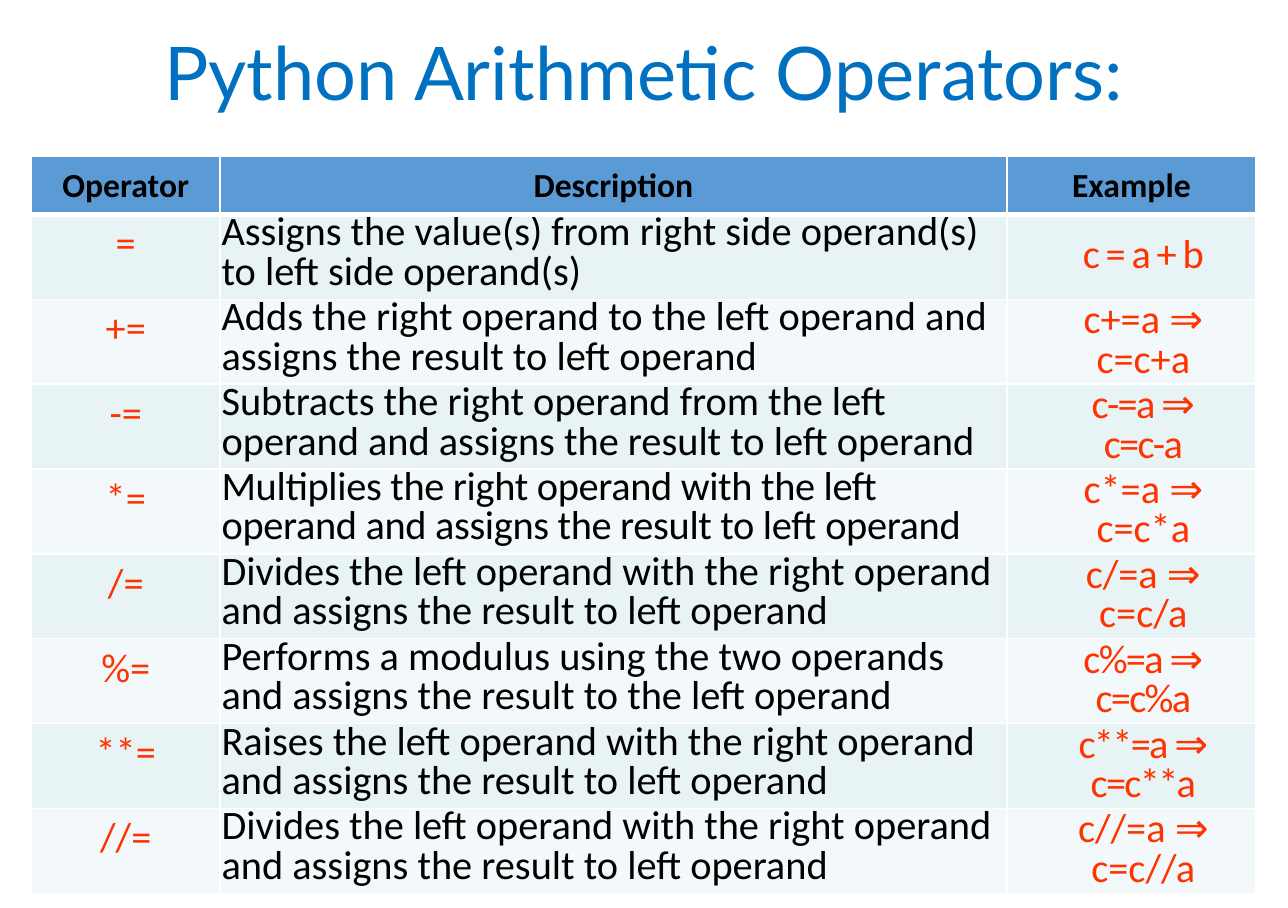
import dataclasses
import lxml.etree
import pptx
import pptx.dml.color
import pptx.enum.text
import pptx.oxml.ns
import pptx.util

Cm = pptx.util.Cm
Pt = pptx.util.Pt
Align = pptx.enum.text.PP_ALIGN
Anchor = pptx.enum.text.MSO_ANCHOR


@dataclasses.dataclass(frozen=True)
class Theme:
    blue: str = "0070C0"
    head: str = "5B9BD5"
    bands: tuple = ("E7F3F4", "F3F9FA")
    line: str = "FFFFFF"
    ink: str = "000000"
    red: str = "FF3300"
    big: int = 44
    mid: int = 24
    small: int = 20
    face: str = "Lato"
    body: str = "Calibri"


@dataclasses.dataclass(frozen=True)
class Box:
    left: float
    top: float
    width: float
    height: float


THEME = Theme()
PAGE = Box(0, 0, 27.03, 19.05)
TITLE = Box(0, 0, PAGE.width, 3.23)
GRID = Box(0.66, 3.28, 25.7, 15.46)
COLS = (3.96, 16.51)
HEAD = 1.22
HEADS = ("Operator", "Description", "Example")
ROWS = (
    ("=", "Assigns the value(s) from right side operand(s) to left side operand(s)",
     "c = a + b", 0, -1),
    ("+=", "Adds the right operand to the left operand and assigns the result to left operand",
     "c+=a ⇒\vc=c+a", 0, 0),
    ("-=", "Subtracts the right operand from the left operand and assigns the result to left operand",
     "c-=a ⇒\vc=c-a", 0, -1),
    ("*=", "Multiplies the right operand with the left operand and assigns the result to left operand",
     "c*=a ⇒\vc=c*a", -0.2, 0),
    ("/=", "Divides the left operand with the right operand and assigns the result to left operand",
     "c/=a ⇒\vc=c/a", 0, 0),
    ("%=", "Performs a modulus using the two operands and assigns the result to the left operand",
     "c%=a ⇒\vc=c%a", 0, -1),
    ("**=", "Raises the left operand with the right operand and assigns the result to left operand",
     "c**=a ⇒\vc=c**a", 0, -1),
    ("//=", "Divides the left operand with the right operand and assigns the result to left operand",
     "c//=a ⇒\vc=c//a", 0, 0),
)


def put(item, form):
    for name, value in form.items():
        setattr(item, name, value)


def color(text):
    return pptx.dml.color.RGBColor.from_string(text)


def write(frame, text, para, font, ink, space=0):
    line = frame.paragraphs[0]
    line.text = text
    put(line, para)
    for run in line.runs:
        put(run.font, font)
        run.font.color.rgb = color(ink)
        if space:
            run.font._element.set("spc", str(round(space * 100)))
    return line


def edge(cell, top, bottom):
    props = cell._tc.get_or_add_tcPr()
    name = pptx.oxml.ns.qn
    for side, width in zip("LRTB", (1, 1, top, bottom)):
        line = lxml.etree.SubElement(props, name("a:ln" + side), w=str(Pt(width)))
        fill = lxml.etree.SubElement(line, name("a:solidFill"))
        lxml.etree.SubElement(fill, name("a:srgbClr"), val=THEME.line)


def paint(cell, fill, form, top=1, bottom=1):
    put(cell, form)
    edge(cell, top, bottom)
    cell.fill.solid()
    cell.fill.fore_color.rgb = color(fill)


def title(slide, box, text):
    shape = slide.shapes.title
    put(shape, {k: Cm(v) for k, v in dataclasses.asdict(box).items()})
    put(shape.text_frame, {"vertical_anchor": Anchor.MIDDLE, "word_wrap": True})
    write(shape.text_frame, text,
          {"alignment": Align.CENTER, "line_spacing": 0.9},
          {"name": THEME.face, "size": Pt(THEME.big)}, THEME.blue)


def grid(slide, box):
    sizes = map(Cm, dataclasses.astuple(box))
    table = slide.shapes.add_table(len(ROWS) + 1, len(HEADS), *sizes).table
    for col, width in zip(table.columns, (*COLS, box.width - sum(COLS))):
        col.width = Cm(width)
    deep = (box.height - HEAD) / len(ROWS)
    for row, height in zip(table.rows, [HEAD] + [deep] * len(ROWS)):
        row.height = Cm(height)

    inset = {"margin_left": Cm(0.03), "margin_right": Cm(0.03),
             "margin_top": Cm(0), "margin_bottom": Cm(0)}
    middle = inset | {"vertical_anchor": Anchor.MIDDLE}
    font = {"name": THEME.body, "size": Pt(THEME.mid), "bold": False}
    bold = font | {"size": Pt(THEME.small), "bold": True}
    left = {"alignment": Align.LEFT, "line_spacing": 0.8}
    center = left | {"alignment": Align.CENTER}
    styles = (
        (inset | {"margin_top": Cm(0.25)}, center, THEME.red),
        (inset, left, THEME.ink),
        (middle, center, THEME.red),
    )

    for x, text in enumerate(HEADS):
        cell = table.cell(0, x)
        paint(cell, THEME.head, middle | {"margin_top": Cm(0.03)}, bottom=3)
        write(cell.text_frame, text, {"alignment": Align.CENTER}, bold, THEME.ink)

    for y, (sign, note, case, tight, close) in enumerate(ROWS, 1):
        parts = zip((sign, note, case), (0, tight, close), styles)
        for x, (text, space, (form, para, ink)) in enumerate(parts):
            cell = table.cell(y, x)
            paint(cell, THEME.bands[(y - 1) % 2], form, top=3 if y == 1 else 1)
            line = write(cell.text_frame, text, para, font, ink, space)
            if x == 2:
                line._p.get_or_add_pPr().set("marL", str(Cm(0.5)))


def main():
    deck = pptx.Presentation()
    put(deck, {"slide_width": Cm(PAGE.width), "slide_height": Cm(PAGE.height)})
    slide = deck.slides.add_slide(deck.slide_layouts[5])
    title(slide, TITLE, "Python Arithmetic Operators:")
    grid(slide, GRID)
    deck.save("out.pptx")


if __name__ == "__main__":
    main()
